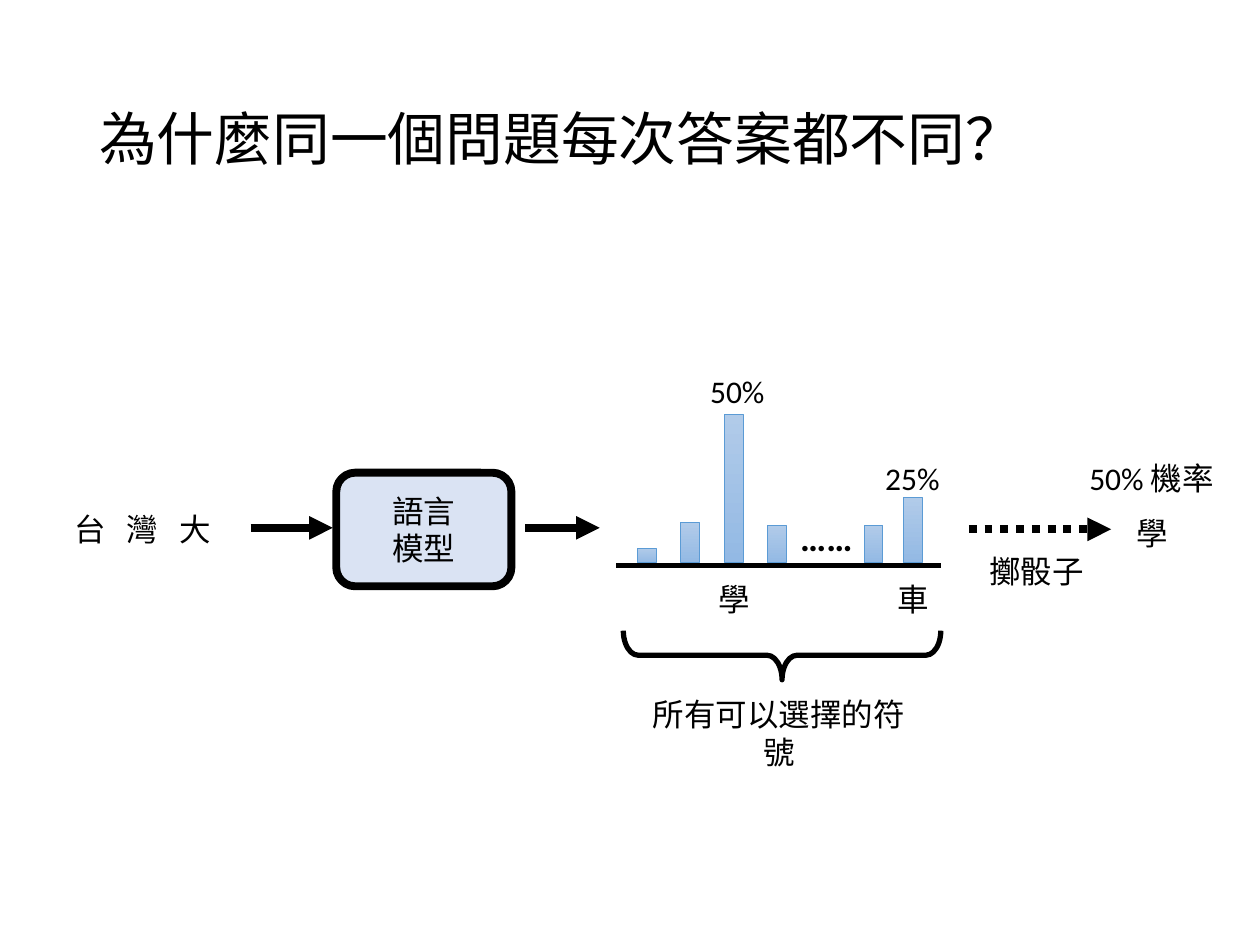
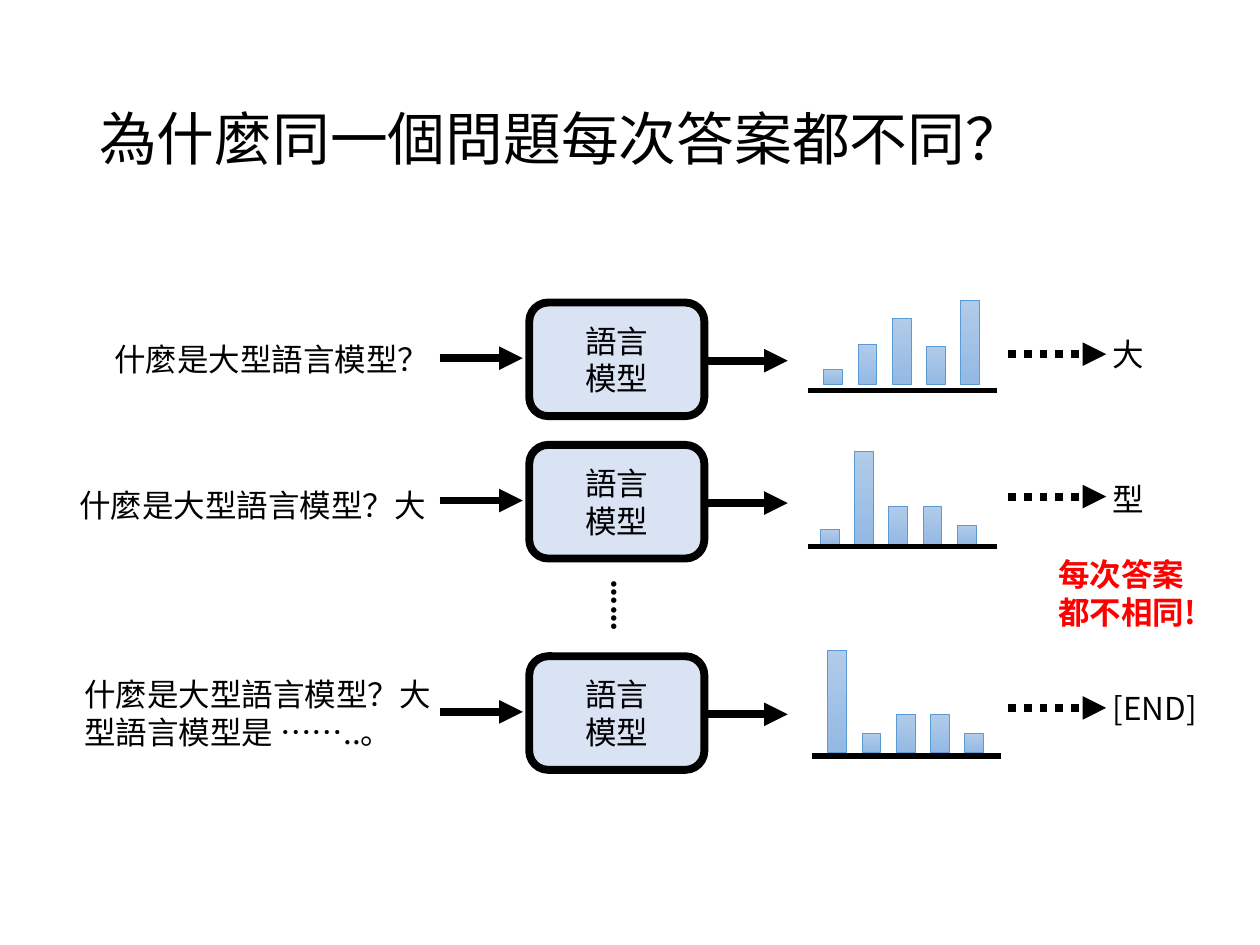
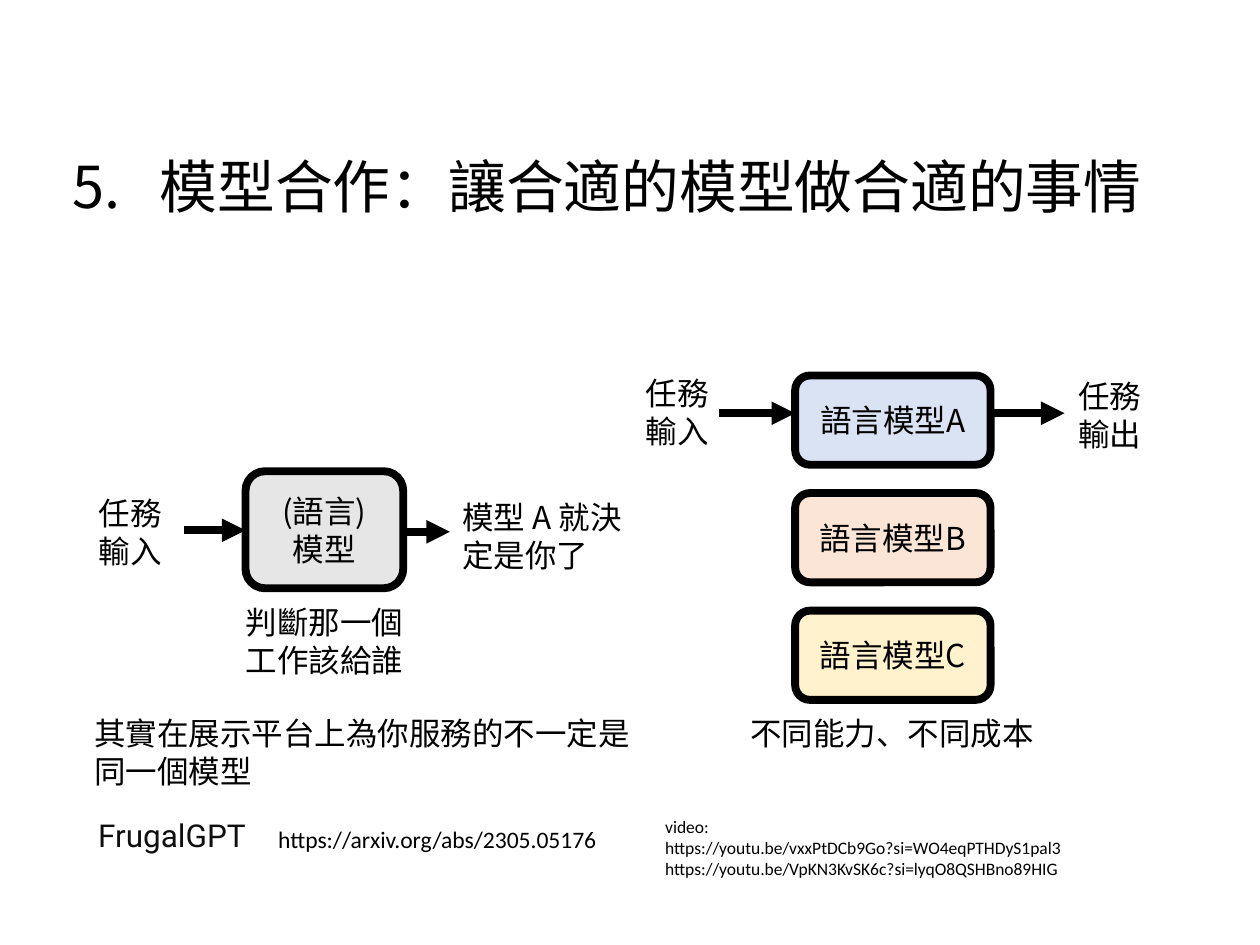
from collections import namedtuple
from lxml import etree
from pptx import Presentation
from pptx.dml.color import RGBColor
from pptx.enum.dml import MSO_LINE
from pptx.enum.shapes import MSO_CONNECTOR, MSO_SHAPE
from pptx.enum.text import MSO_ANCHOR, MSO_AUTO_SIZE, PP_ALIGN
from pptx.oxml.ns import qn
from pptx.util import Cm, Pt

MID, LEFT = PP_ALIGN.CENTER, PP_ALIGN.LEFT
GROW = MSO_AUTO_SIZE.SHAPE_TO_FIT_TEXT
CENTER = MSO_ANCHOR.MIDDLE
ROUND, RECT, BRACE = MSO_SHAPE.ROUNDED_RECTANGLE, MSO_SHAPE.RECTANGLE, MSO_SHAPE.RIGHT_BRACE
LINE, DOTS = MSO_CONNECTOR.STRAIGHT, MSO_LINE.ROUND_DOT

Style = namedtuple("Style", "size latin asian color bold", defaults=("000000", False))
HAN = "Noto Sans CJK SC"


class Theme:
    ink, edge = "000000", "5B9BD5"
    blue, gray, peach, cream = "DAE3F3", "E7E6E6", "FBE5D6", "FFF2CC"
    top, foot = "B1CBE9", "93B9E4"
    thick, thin, hair = 4.5, 3, 0.5
    title = Style(33, HAN, HAN)
    body = Style(18, HAN, HAN)
    share = Style(18, "Calibri", HAN)
    dots = Style(21, "Calibri", "Calibri", bold=True)
    alert = Style(18, HAN, HAN, "FF0000", True)
    paper = Style(18, "Roboto", "Roboto", "0F0F0F")
    link = Style(13.5, "Calibri", "Calibri")
    video = Style(10, "Calibri", "Calibri")


T = Theme
WHY = "為什麼同一個問題每次答案都不同？"
TEAM = "5.\t模型合作：讓合適的模型做合適的事情"
MODEL, TASK, RESULT = "語言\n模型", "任務\n輸入", "任務\n輸出"
BAR, STEP, WORD = 0.38, 0.69, 2.87

DICE = [
    ("學", 13.36, 11.56, WORD, T.body),
    ("車", 16.97, 11.56, WORD, T.body),
    ("學", 21.79, 10.24, WORD, T.body),
    ("擲骰子", 19.46, 11, WORD, T.body),
    ("所有可以選擇的符號", 12.6, 13.89, 6.2, T.body),
    ("50%", 13.72, 7.37, 2.29, T.share),
    ("25%", 17.25, 9.12, 2.29, T.share),
    ("50% 機率", 21.03, 9.12, 4.37, T.share),
    ("……", 14.96, 10.26, 3.4, T.dots),
]
ODDS = [(12.85, 0.3), (13.72, 0.81), (14.61, 3), (15.47, 0.76), (17.42, 0.76), (18.21, 1.32)]

Row = namedtuple("Row", "top ask ask_at align out out_at axis base first bars")
ROWS = [
    Row(6.1, "什麼是大型語言模型？", (1.7, 6.73), MID, "大", (21.31, 6.63),
        (16.28, 7.87), 7.75, 16.61, [0.3, 0.81, 1.32, 0.76, 1.7]),
    Row(8.97, "什麼是大型語言模型？大", (1.32, 9.68), MID, "型", (21.31, 9.55),
        (16.28, 11.02), 10.98, 16.54, [0.3, 1.88, 0.76, 0.76, 0.38]),
    Row(13.23, "什麼是大型語言模型？大型語言模型是 ……..。", (1.45, 13.49), LEFT, "[END]",
        (21.84, 13.77), (16.36, 15.24), 15.17, 16.69, [2.06, 0.38, 0.76, 0.76, 0.38]),
]

CREW = [("語言模型A", T.blue), ("語言模型B", T.peach), ("語言模型C", T.cream)]
NOTES = [
    ("判斷那一個工作該給誰", 4.57, 12.04, 3.94, T.body, MID),
    (TASK, 1.55, 9.83, 2.16, T.body, MID),
    (TASK, 12.57, 7.42, 2.16, T.body, MID),
    (RESULT, 21.29, 7.47, 2.16, T.body, MID),
    ("不同能力、不同成本", 13.84, 14.27, 8.28, T.body, MID),
    ("其實在展示平台上為你服務的不一定是同一個模型", 1.65, 14.27, 11.35, T.body, LEFT),
    ("模型 A 就決定是你了", 9.07, 9.91, 3.94, T.body, LEFT),
    ("https://arxiv.org/abs/2305.05176", 5.36, 16.51, 7.42, T.link, LEFT),
    ("FrugalGPT", 1.73, 16.33, 12.7, T.paper, LEFT),
    ("video:\nhttps://youtu.be/vxxPtDCb9Go?si=WO4eqPTHDyS1pal3\n"
     "https://youtu.be/VpKN3KvSK6c?si=lyqO8QSHBno89HIG", 13.16, 16.33, 11.94, T.video, LEFT),
]
FLOWS = [(3.71, 10.69, 4.95), (8.13, 10.72, 9.07), (14.5, 8.33, 16.03), (19.94, 8.33, 21.46)]


def rgb(code):
    return RGBColor.from_string(code)


def write(frame, text, style, align):
    frame.word_wrap = True
    frame.text = text
    for para in frame.paragraphs:
        para.alignment = align
        for run in para.runs:
            font = run.font
            font.size, font.bold = Pt(style.size), style.bold
            font.color.rgb = rgb(style.color)
            font.name = style.latin
            etree.SubElement(run._r.rPr, qn("a:ea"), typeface=style.asian)


def label(page, text, x, y, w, style=T.body, align=MID, h=1.02):
    box = page.shapes.add_textbox(Cm(x), Cm(y), Cm(w), Cm(h))
    write(box.text_frame, text, style, align)
    box.text_frame.auto_size = GROW
    return box


def head(page, text, x, y, w):
    box = page.shapes.add_textbox(Cm(x), Cm(y), Cm(w), Cm(3.68))
    frame = box.text_frame
    write(frame, text, T.title, LEFT)
    frame.vertical_anchor = CENTER
    para = frame.paragraphs[0]
    if "\t" in text:
        tabs = etree.SubElement(para._p.get_or_add_pPr(), qn("a:tabLst"))
        etree.SubElement(tabs, qn("a:tab"), pos=str(Cm(1.75)), algn="l")
    para.line_spacing = 0.9


def shape(page, kind, x, y, w, h, color, width):
    item = page.shapes.add_shape(kind, Cm(x), Cm(y), Cm(w), Cm(h))
    item.shadow.inherit = False
    item.line.color.rgb = rgb(color)
    item.line.width = Pt(width)
    return item


def model(page, text, x, y, w=3.53, h=2.29, fill=T.blue):
    box = shape(page, ROUND, x, y, w, h, T.ink, T.thick)
    box.fill.solid()
    box.fill.fore_color.rgb = rgb(fill)
    write(box.text_frame, text, T.body, MID)
    box.text_frame.vertical_anchor = CENTER


def rule(page, x, y, end, width=T.thin):
    line = page.shapes.add_connector(LINE, Cm(x), Cm(y), Cm(end), Cm(y))
    line.line.color.rgb = rgb(T.ink)
    line.line.width = Pt(width)
    etree.SubElement(line._element.spPr, qn("a:effectLst"))
    return line


def arrow(page, x, y, end, dash=None):
    line = rule(page, x, y, end, T.thick).line
    if dash:
        line.dash_style = dash
    etree.SubElement(line._get_or_add_ln(), qn("a:tailEnd"), type="triangle")


def bars(page, base, items):
    for x, h in items:
        bar = shape(page, RECT, x, base - h, BAR, h, T.edge, T.hair)
        bar.fill.gradient()
        bar.fill.gradient_angle = 270
        for stop, color in zip(bar.fill.gradient_stops, (T.top, T.foot)):
            stop.color.rgb = rgb(color)


def dice(page):
    head(page, WHY, 1.75, 1.02, 21.89)
    start = label(page, "台 灣 大", 0.48, 10.16, 4.78)
    start.text_frame.paragraphs[0].runs[0]._r.rPr.set("spc", "400")
    model(page, MODEL, 6.78, 9.53)
    arrow(page, 5.05, 10.64, 6.71)
    arrow(page, 10.59, 10.64, 12.09)
    arrow(page, 19.53, 10.67, 22.4, DOTS)
    bars(page, 11.35, ODDS)
    rule(page, 12.42, 11.4, 18.97)
    brace = shape(page, BRACE, 15.27, 10.01, 0.99, 6.4, T.ink, T.thin)
    brace.fill.background()
    brace.adjustments[0] = 0.305
    brace.rotation = 90
    for item in DICE:
        label(page, *item)


def chain(page):
    head(page, WHY, 1.75, 1.02, 21.89)
    for row in ROWS:
        model(page, MODEL, 10.67, row.top)
        arrow(page, 8.86, row.top + 1.12, 10.54)
        arrow(page, 14.2, row.top + 1.17, 15.88)
        arrow(page, 20.32, row.top + 1.04, 22.3, DOTS)
        label(page, row.ask, *row.ask_at, 7.55, align=row.align)
        label(page, row.out, *row.out_at, WORD)
        bars(page, row.base, [(row.first + i * STEP, h) for i, h in enumerate(row.bars)])
        x, y = row.axis
        rule(page, x, y, x + 3.81)
    label(page, "……", 10.92, 11.63, 3.4, T.dots, h=1.14).rotation = 90
    label(page, "每次答案都不相同!", 21.08, 11.07, 3.35, T.alert, LEFT)


def team(page):
    head(page, TEAM, 1.22, 1.98, 22.99)
    for i, (name, fill) in enumerate(CREW):
        model(page, name, 16.03, 7.57 + i * 2.37, 3.94, 1.8, fill)
    model(page, "(語言)\n模型", 4.95, 9.5, 3.18, 2.36, T.gray)
    for flow in FLOWS:
        arrow(page, *flow)
    for note in NOTES:
        label(page, *note)


def main():
    deck = Presentation()
    deck.slide_width, deck.slide_height = Cm(25.4), Cm(19.05)
    for draw in (dice, chain, team):
        draw(deck.slides.add_slide(deck.slide_layouts[6]))
    deck.save("out.pptx")


if __name__ == "__main__":
    main()
